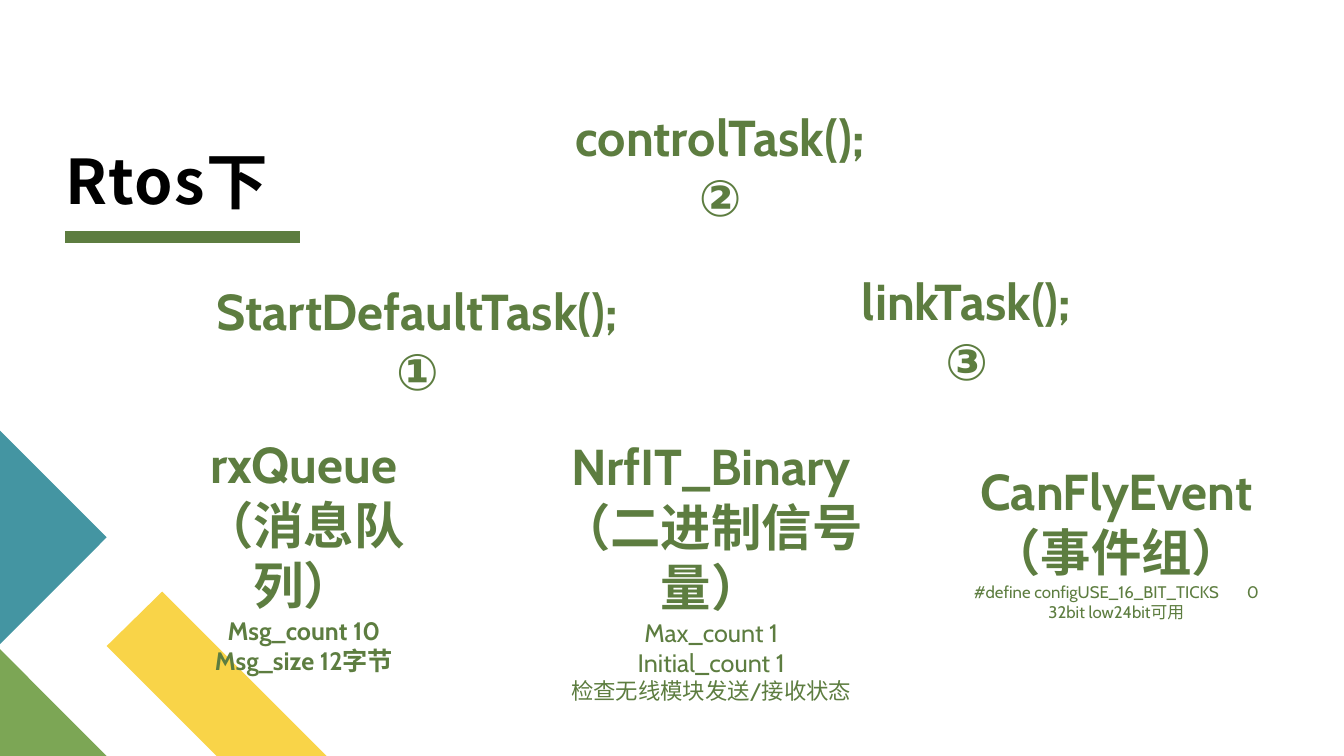
from pptx import Presentation
from pptx.dml.color import RGBColor
from pptx.enum.shapes import MSO_CONNECTOR as Connector
from pptx.enum.text import MSO_ANCHOR as Anchor, MSO_AUTO_SIZE as AutoSize, PP_ALIGN as Align
from pptx.oxml.ns import qn
from pptx.util import Cm, Pt
from lxml.etree import SubElement

DARK_GREEN = RGBColor(0x5D, 0x7D, 0x40)
LIGHT_GREEN = RGBColor(0x7C, 0xA6, 0x55)
TEAL = RGBColor(0x44, 0x95, 0xA2)
YELLOW = RGBColor(0xF9, 0xD4, 0x48)
BLACK = RGBColor(0, 0, 0)

LATIN_FONT = "Cabin"
CHINESE_FONT = "Noto Sans CJK SC"
SLIDE_WIDTH, SLIDE_HEIGHT = 33.87, 19.05
DEFINE_GAP = 17  # extra points between the macro and its value

# Left, top, width, height in cm, then the lines under the heading
TASKS = [
    ((4.93, 6.93, 11.18, 3.33), "StartDefaultTask();", "①"),
    ((19.79, 6.68, 9.14, 3.33), "linkTask();", "③"),
    ((12.83, 2.54, 10.64, 3.33), "controlTask();", "②"),
]
# Each detail line: text, size, bold
RESOURCES = [
    ((3.81, 10.8, 7.7, 4.88), "rxQueue", "（消息队列）",
     [("Msg_count 10", 18, True), ("Msg_size 12字节", 18, True)]),
    ((12.83, 10.85, 10.19, 5.64), "NrfIT_Binary", "（二进制信号量）",
     [("Max_count 1", 18, False), ("Initial_count 1", 18, False),
      ("检查无线模块发送/接收状态", 16, False)]),
    ((23.04, 11.48, 10.19, 4.37), "CanFlyEvent", "（事件组）",
     [(("#define configUSE_16_BIT_TICKS", " ", "0"), 12, False),
      ("32bit low24bit可用", 12, False)]),
]


def add_text(paragraph, text, size=36, bold=True, color=DARK_GREEN,
             font=LATIN_FONT, spacing=0):
    run = paragraph.add_run()
    run.text = text
    run.font.size = Pt(size)
    run.font.bold = bold
    run.font.color.rgb = color
    run.font.name = font
    properties = run.font._element
    SubElement(properties, qn("a:ea")).set("typeface", CHINESE_FONT)
    if spacing:
        properties.set("spc", str(spacing * 100))


def add_centred_box(slide, box, lines):
    text_box = slide.shapes.add_textbox(*map(Cm, box))
    frame = text_box.text_frame
    frame.word_wrap = True
    frame.auto_size = AutoSize.SHAPE_TO_FIT_TEXT
    for index, (text, size, bold) in enumerate(lines):
        paragraph = frame.add_paragraph() if index else frame.paragraphs[0]
        paragraph.alignment = Align.CENTER
        for part in [text] if isinstance(text, str) else text:
            add_text(paragraph, part, size=size, bold=bold,
                     spacing=DEFINE_GAP if part == " " else 0)


def add_polygon(slide, points, color):
    corners = [(Cm(x), Cm(y)) for x, y in points]
    builder = slide.shapes.build_freeform(*corners[0])
    builder.add_line_segments(corners[1:], close=True)
    shape = builder.convert_to_shape()
    shape.shadow.inherit = False
    shape.fill.solid()
    shape.fill.fore_color.rgb = color
    shape.line.fill.background()


def add_heading(slide, box):
    left, top, width, height = box
    # Underline
    line_top = top + height + 0.51
    underline = slide.shapes.add_connector(
        Connector.STRAIGHT, Cm(left), Cm(line_top), Cm(left + 5.92), Cm(line_top))
    underline.line.color.rgb = DARK_GREEN
    underline.line.width = Pt(8)
    SubElement(underline._element.spPr, qn("a:effectLst"))

    # Title
    title = slide.shapes.title
    title.left, title.top, title.width, title.height = map(Cm, box)
    frame = title.text_frame
    frame.margin_left = frame.margin_top = frame.margin_right = frame.margin_bottom = 0
    frame.vertical_anchor = Anchor.BOTTOM
    frame.word_wrap = True
    frame.auto_size = AutoSize.NONE
    paragraph = frame.paragraphs[0]
    paragraph.alignment = Align.LEFT
    paragraph.line_spacing = 0.8
    add_text(paragraph, "Rtos下", size=44, color=BLACK, font=CHINESE_FONT, spacing=1)


def add_corner(slide, box):
    left, top, width, height = box
    bottom = top + height
    side = width / 3.06  # leg of the small triangle
    # Yellow band
    add_polygon(slide, [(left + width, bottom), (left + 2.03 * side, bottom),
                        (left + side, bottom - 1.03 * side),
                        (left + 1.52 * side, bottom - 1.54 * side)], YELLOW)
    # Green triangle
    add_polygon(slide, [(left + side, bottom), (left, bottom),
                        (left, bottom - side)], LIGHT_GREEN)
    # Teal triangle
    add_polygon(slide, [(left, top), (left + side, top + side),
                        (left, top + 2 * side)], TEAL)


def add_tasks(slide):
    for box, name, number in TASKS:
        add_centred_box(slide, box, [(name, 36, True), (number, 36, True)])


def add_resources(slide):
    for box, name, kind, details in RESOURCES:
        add_centred_box(slide, box, [(name, 36, True), (kind, 36, True), *details])


def main():
    presentation = Presentation()
    presentation.slide_width = Cm(SLIDE_WIDTH)
    presentation.slide_height = Cm(SLIDE_HEIGHT)
    slide = presentation.slides.add_slide(presentation.slide_layouts[5])
    add_heading(slide, (1.65, 0.28, 9.19, 5.18))
    add_corner(slide, (0, 10.85, 8.23, 8.2))
    add_resources(slide)
    add_tasks(slide)
    presentation.save("out.pptx")


if __name__ == "__main__":
    main()
